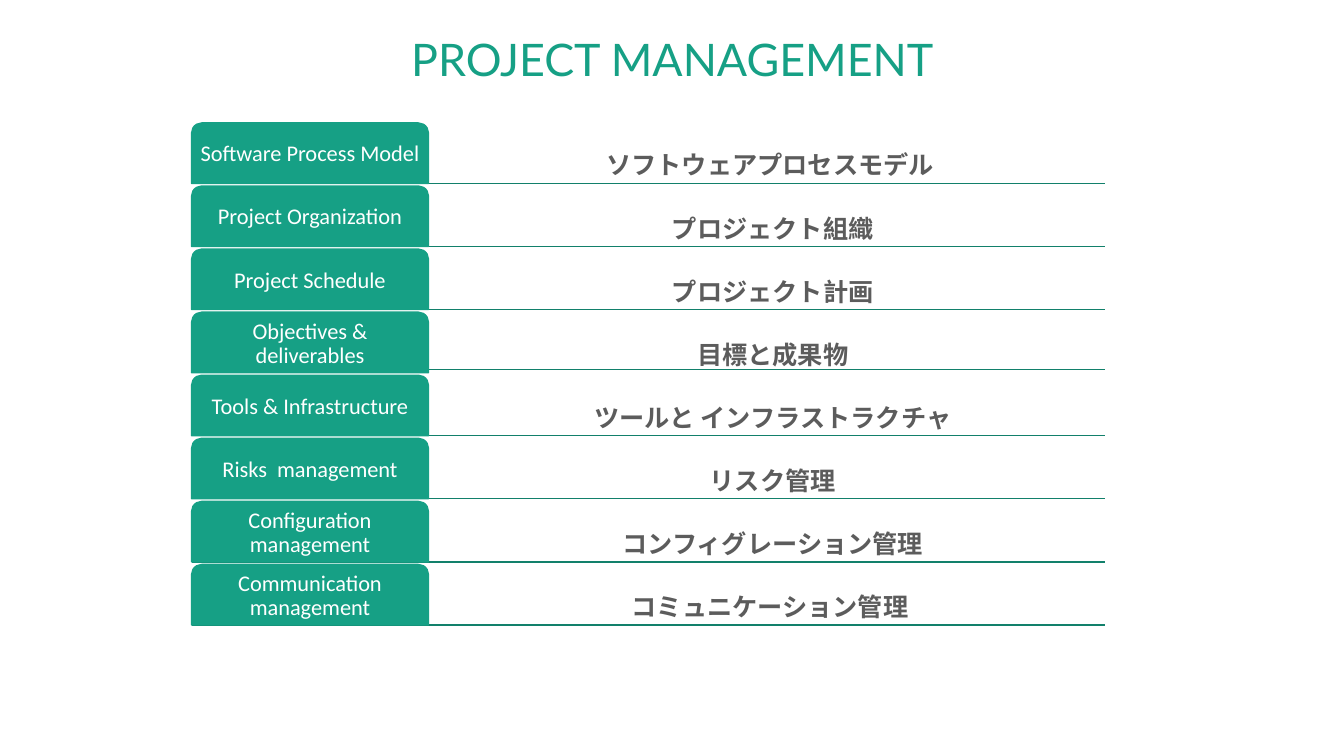
from dataclasses import dataclass

from lxml import etree
from pptx import Presentation
from pptx import util as u
from pptx.dml.color import RGBColor
from pptx.enum import shapes, text
from pptx.oxml import ns

GREEN = RGBColor(0x16, 0xA0, 0x85)
DARK_GREEN = RGBColor(0x12, 0x80, 0x6B)
GREY = RGBColor(0x5C, 0x5C, 0x5C)
WHITE = RGBColor(0xFF, 0xFF, 0xFF)

# Grid in inches: a tab column, a translation column and eight rows
LEFT, SPLIT, RIGHT = 1.9, 4.26, 10.96
TAB_W = 2.35
TOP, LAST_TOP = 1.22, 5.6
ROW_H = 0.6
INSET = 0.03
INDENT = 0.11


@dataclass
class Topic:
    english: str
    japanese: str
    indent: float = INDENT
    rule_lift: float = 0


TOPICS = [
    Topic("Software Process Model", "ソフトウェアプロセスモデル", INDENT / 2),
    Topic("Project Organization", "プロジェクト組織"),
    Topic("Project Schedule", "プロジェクト計画"),
    Topic("Objectives & deliverables", "目標と成果物", rule_lift=0.03),
    Topic("Tools & Infrastructure", "ツールと インフラストラクチャ"),
    Topic("Risks  management", "リスク管理"),
    Topic("Configuration management", "コンフィグレーション管理"),
    Topic("Communication management", "コミュニケーション管理", INDENT / 2),
]
PITCH = (LAST_TOP - TOP) / (len(TOPICS) - 1)


def write(sp, words: str, size: float, color: RGBColor, anchor,
          font: str = "Calibri", bold: bool = False, spacing: float = 0.9,
          inset: float = INSET, indent: float = 0) -> None:
    tf = sp.text_frame
    tf.word_wrap = True
    tf.vertical_anchor = anchor
    tf.margin_left = u.Inches(inset + indent)
    tf.margin_right = tf.margin_top = tf.margin_bottom = u.Inches(inset)
    tf.text = words
    p = tf.paragraphs[0]
    p.alignment = text.PP_ALIGN.CENTER
    p.line_spacing = spacing
    r = p.runs[0]
    r.font.name, r.font.size, r.font.bold = font, u.Pt(size), bold
    r.font.color.rgb = color


def add_rule(s, y: float) -> None:
    line = s.shapes.add_connector(
        shapes.MSO_CONNECTOR.STRAIGHT,
        u.Inches(LEFT), u.Inches(y), u.Inches(RIGHT), u.Inches(y))
    line.line.color.rgb = DARK_GREEN
    line.line.width = u.Pt(1)
    etree.SubElement(line._element.spPr, ns.qn("a:effectLst"))


def add_tab(s, top: float, words: str) -> None:
    sp = s.shapes.add_shape(
        shapes.MSO_SHAPE.ROUND_2_SAME_RECTANGLE,
        u.Inches(LEFT), u.Inches(top), u.Inches(TAB_W), u.Inches(ROW_H))
    sp.shadow.inherit = False
    sp.fill.solid()
    sp.fill.fore_color.rgb = GREEN
    sp.line.color.rgb = GREEN
    sp.line.width = u.Pt(1)
    write(sp, words, 16, WHITE, text.MSO_ANCHOR.MIDDLE)


def add_translation(s, top: float, topic: Topic) -> None:
    sp = s.shapes.add_textbox(
        u.Inches(SPLIT), u.Inches(top), u.Inches(RIGHT - SPLIT), u.Inches(ROW_H))
    write(sp, topic.japanese, 18, GREY, text.MSO_ANCHOR.BOTTOM,
          bold=True, indent=topic.indent)


def main() -> None:
    prs = Presentation()
    prs.slide_width, prs.slide_height = u.Inches(13.33), u.Inches(7.5)
    s = prs.slides.add_slide(prs.slide_layouts[6])

    # Topic rows
    for i, topic in enumerate(TOPICS):
        top = TOP + i * PITCH
        add_rule(s, top + ROW_H - topic.rule_lift)
        add_translation(s, top, topic)
        add_tab(s, top, topic.english)

    # Title
    title = s.shapes.add_textbox(
        u.Inches(3.08), 0, u.Inches(7.18), u.Inches(0.81))
    write(title, "PROJECT MANAGEMENT", 32, GREEN, text.MSO_ANCHOR.TOP,
          font="Lato", spacing=1.5, inset=0.05)

    prs.save("out.pptx")


if __name__ == "__main__":
    main()
